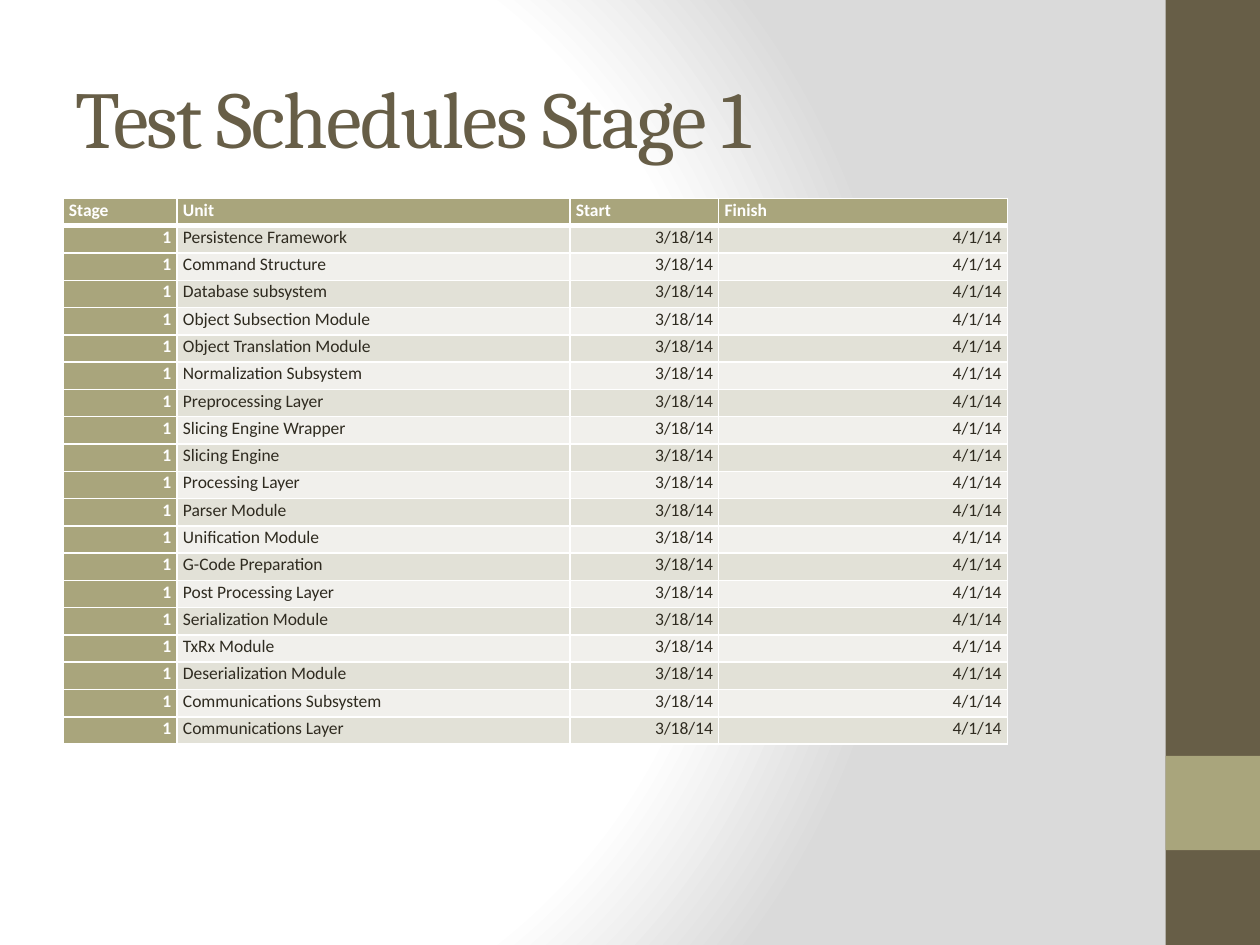
from pptx import Presentation
from pptx.dml.color import RGBColor
from pptx.enum.shapes import MSO_SHAPE as Shape
from pptx.enum.text import MSO_ANCHOR as Anchor, PP_ALIGN as Align
from pptx.oxml import parse_xml
from pptx.oxml.ns import nsdecls, qn
from pptx.util import Cm, Pt

BROWN, OLIVE, INK, WHITE = "675E47", "A9A57C", "2F2B20", "FFFFFF"
BANDS = ["E2E1D7", "F1F0EC"]

HEADINGS = ["Stage", "Unit", "Start", "Finish"]
COLUMN_WIDTHS = [2.3, 7.92, 3.0, 5.82]
BODY_ALIGNS = [Align.RIGHT, Align.JUSTIFY, Align.RIGHT, Align.RIGHT]
UNITS = [
    "Persistence Framework", "Command Structure", "Database subsystem",
    "Object Subsection Module", "Object Translation Module",
    "Normalization Subsystem", "Preprocessing Layer", "Slicing Engine Wrapper",
    "Slicing Engine", "Processing Layer", "Parser Module", "Unification Module",
    "G-Code Preparation", "Post Processing Layer", "Serialization Module",
    "TxRx Module", "Deserialization Module", "Communications Subsystem",
    "Communications Layer",
]


def color(hex_value):
    return RGBColor.from_string(hex_value)


def set_all(target, values):
    for name, value in values.items():
        setattr(target, name, value)


class ScheduleSlide:
    heading_font = "Cambria"
    body_font = "Calibri"

    def __init__(self, deck):
        self.slide = deck.slides.add_slide(deck.slide_layouts[5])

    def background(self, stops, focus):
        """Circular gradient; stops are (percent, hex), focus is l, t, r, b in percent."""
        self.slide.background.fill.gradient()
        stop_xml = "".join(
            f'<a:gs pos="{pos * 1000}"><a:srgbClr val="{hex_value}"/></a:gs>'
            for pos, hex_value in stops)
        edges = " ".join(f'{side}="{value * 1000}"' for side, value in zip("ltrb", focus))
        gradient = parse_xml(
            f'<a:gradFill {nsdecls("a")} rotWithShape="1"><a:gsLst>{stop_xml}</a:gsLst>'
            f'<a:path path="circle"><a:fillToRect {edges}/></a:path></a:gradFill>')
        default = self.slide.element.find(".//" + qn("a:gradFill"))
        default.getparent().replace(default, gradient)

    def block(self, left, top, width, height, fill):
        block = self.slide.shapes.add_shape(
            Shape.RECTANGLE, Cm(left), Cm(top), Cm(width), Cm(height))
        block.shadow.inherit = False
        block.fill.solid()
        block.fill.fore_color.rgb = color(fill)
        block.line.fill.background()

    def title(self, text, left, top, width, height):
        title = self.slide.shapes.title
        set_all(title, {"left": Cm(left), "top": Cm(top),
                        "width": Cm(width), "height": Cm(height)})
        frame = title.text_frame
        set_all(frame, {"vertical_anchor": Anchor.MIDDLE, "word_wrap": True})
        paragraph = frame.paragraphs[0]
        paragraph.alignment = Align.LEFT
        run = paragraph.add_run()
        run.text = text
        set_all(run.font, {"name": self.heading_font, "size": Pt(46)})
        run.font.color.rgb = color(BROWN)
        run.font._element.set("spc", "-100")

    def table(self, left, top, widths, row_height, rows):
        table = self.slide.shapes.add_table(
            len(rows), len(widths), Cm(left), Cm(top),
            Cm(sum(widths)), Cm(row_height * len(rows))).table
        table.first_col = True
        for column, width in zip(table.columns, widths):
            column.width = Cm(width)
        for row_index, (row, texts) in enumerate(zip(table.rows, rows)):
            row.height = Cm(row_height)
            for column_index, text in enumerate(texts):
                self.cell(row.cells[column_index], text, row_index, column_index)

    def cell(self, cell, text, row, column):
        is_header = row == 0
        is_accent = is_header or column == 0
        set_all(cell, {"margin_left": Cm(0.12), "margin_right": Cm(0.12),
                       "margin_top": 0, "margin_bottom": 0})
        cell.fill.solid()
        cell.fill.fore_color.rgb = color(OLIVE if is_accent else BANDS[(row - 1) % 2])
        borders = {"L": 1, "R": 1, "T": 1, "B": 3} if is_header else {"L": 1, "R": 1, "B": 1}
        self.borders(cell, borders)

        paragraph = cell.text_frame.paragraphs[0]
        set_all(paragraph, {"alignment": Align.LEFT if is_header else BODY_ALIGNS[column],
                            "line_spacing": 1.05})
        run = paragraph.add_run()
        run.text = text
        set_all(run.font, {"name": self.body_font, "size": Pt(10), "bold": is_accent})
        run.font.color.rgb = color(WHITE if is_accent else INK)

    def borders(self, cell, widths):
        properties = cell._tc.get_or_add_tcPr()
        for index, (side, width) in enumerate(widths.items()):
            properties.insert(index, parse_xml(
                f'<a:ln{side} {nsdecls("a")} w="{Pt(width)}"><a:solidFill>'
                f'<a:srgbClr val="{WHITE}"/></a:solidFill></a:ln{side}>'))


def main():
    deck = Presentation()
    set_all(deck, {"slide_width": Cm(25.4), "slide_height": Cm(19.05)})
    schedule = ScheduleSlide(deck)

    # Background and side band
    schedule.background([(0, WHITE), (75, WHITE), (100, "DADADA")], (20, 50, 100, 50))
    schedule.block(23.5, 0, 1.9, 19.05, BROWN)
    schedule.block(23.5, 15.24, 1.9, 1.9, OLIVE)

    # Title
    schedule.title("Test Schedules Stage 1", 1.27, 0.76, 21.16, 3.18)

    # Schedule: every unit shares the stage and the dates
    rows = [HEADINGS] + [["1", unit, "3/18/14", "4/1/14"] for unit in UNITS]
    schedule.table(1.27, 4.0, COLUMN_WIDTHS, 0.55, rows)

    deck.save("out.pptx")


if __name__ == "__main__":
    main()
